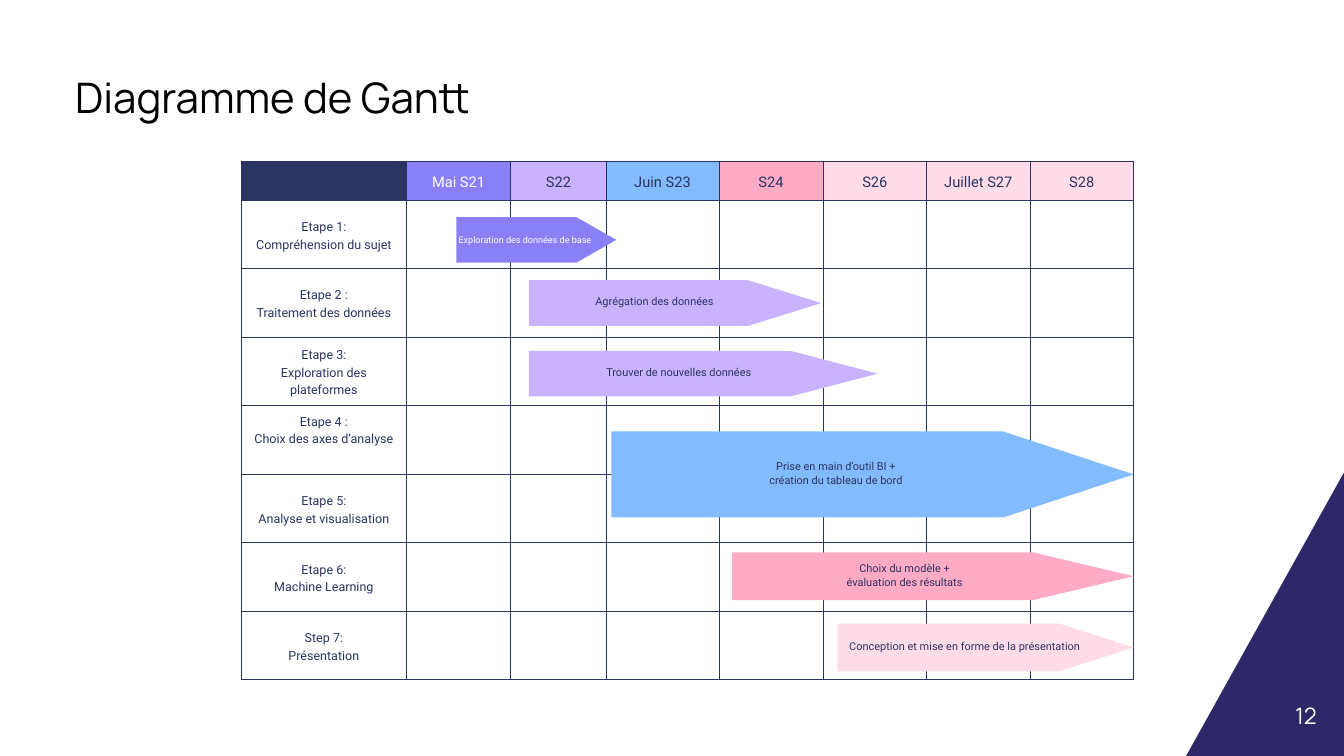
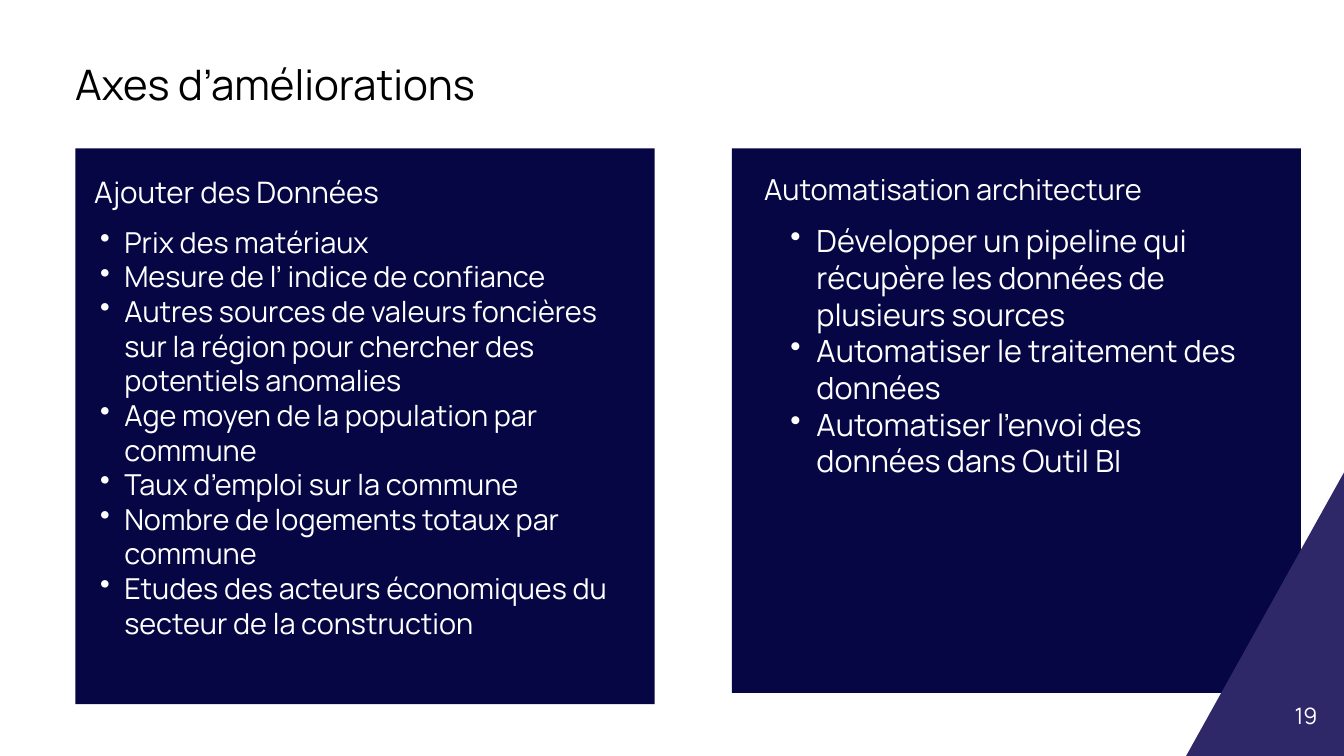
import pptx
import pptx.util
import pptx.dml.color
import pptx.enum.shapes
import pptx.enum.text
import pptx.oxml.ns
from lxml import etree

Inches, Pt = pptx.util.Inches, pptx.util.Pt
RGBColor = pptx.dml.color.RGBColor
ALIGN = pptx.enum.text.PP_ALIGN
ANCHOR = pptx.enum.text.MSO_ANCHOR
qn = pptx.oxml.ns.qn

BLACK = RGBColor(0x00, 0x00, 0x00)
WHITE = RGBColor(0xFF, 0xFF, 0xFF)
INK = RGBColor(0x2B, 0x33, 0x60)
CORNER = RGBColor(0x2E, 0x27, 0x68)
PANEL = RGBColor(0x06, 0x06, 0x44)
VIOLET = RGBColor(0x89, 0x80, 0xF6)
LILAC = RGBColor(0xC9, 0xB3, 0xFF)
BLUE = RGBColor(0x83, 0xBC, 0xFE)
ROSE = RGBColor(0xFF, 0xAB, 0xC6)
BLUSH = RGBColor(0xFF, 0xDC, 0xE7)

DISPLAY, BODY = "Manrope", "Roboto"
SLIDE_W, SLIDE_H = 20, 11.25
MARGIN = 1.12

# Gantt content: (label, column width, fill)
WEEKS = [
    ("Mai S21", 1.55, VIOLET), ("S22", 1.42, LILAC), ("Juin S23", 1.68, BLUE),
    ("S24", 1.55, ROSE), ("S26", 1.54, BLUSH), ("Juillet S27", 1.54, BLUSH),
    ("S28", 1.54, BLUSH),
]
STEPS = [
    ("Etape 1:", "Compréhension du sujet"),
    ("Etape 2 :", "Traitement des données"),
    ("Etape 3:", "Exploration des plateformes"),
    ("Etape 4 :", "Choix des axes d’analyse"),
    ("Etape 5:", "Analyse et visualisation"),
    ("Etape 6:", "Machine Learning"),
    ("Step 7:", "Présentation"),
]
TOP_ALIGNED_STEP = 4
STEP_COL_W, HEADER_H, STEP_H = 2.46, 0.58, 1.02

# Tasks: (left, top, width, height) from the table corner, fill, lines
TASKS = [
    ((3.2, 0.83, 2.38, 0.68), VIOLET, ["Exploration des données de base"]),
    ((4.28, 1.77, 4.35, 0.68), LILAC, ["Agrégation des données"]),
    ((4.28, 2.82, 5.19, 0.68), LILAC, ["Trouver de nouvelles données"]),
    ((5.51, 4.02, 7.77, 1.28), BLUE,
     ["Prise en main d’outil BI +", "création du tableau de bord"]),
    ((7.3, 5.82, 5.98, 0.71), ROSE, ["Choix du modèle +", "évaluation des résultats"]),
    ((8.87, 6.88, 4.41, 0.71), BLUSH,
     ["Conception et mise en forme de la présentation"]),
]

DATA_IDEAS = [
    "Prix des matériaux",
    "Mesure de l’ indice de confiance",
    "Autres sources de valeurs foncières sur la région pour chercher des "
    "potentiels anomalies",
    "Age moyen de la population par commune",
    "Taux d’emploi sur la commune",
    "Nombre de logements totaux par commune",
    "Etudes des acteurs économiques du secteur de la construction",
]
AUTOMATION_IDEAS = [
    "Développer un pipeline qui récupère les données de plusieurs sources",
    "Automatiser le traitement des données",
    "Automatiser l’envoi des données dans Outil BI",
]


def inches(box):
    return [Inches(length) for length in box]


def write(frame, lines, size, spacing, color, font=DISPLAY, align=ALIGN.LEFT, indent=None):
    """One paragraph per line; indent turns the lines into bullets."""
    for number, line in enumerate(lines):
        paragraph = frame.add_paragraph() if number else frame.paragraphs[0]
        if indent:
            props = paragraph._p.get_or_add_pPr()
            props.set("marL", str(Inches(2 * indent)))
            props.set("indent", str(-Inches(indent)))
            etree.SubElement(props, qn("a:buChar")).set("char", "•")
        paragraph.alignment = align
        paragraph.line_spacing = Pt(spacing)
        run = paragraph.add_run()
        run.text = line
        run.font.size = Pt(size)
        run.font.name = font
        run.font.color.rgb = color


def add_text(slide, box, lines, *style, **options):
    frame = slide.shapes.add_textbox(*inches(box)).text_frame
    frame.word_wrap = True
    frame.margin_left = frame.margin_right = frame.margin_top = frame.margin_bottom = 0
    write(frame, lines, *style, **options)


def paint(shape, color):
    shape.shadow.inherit = False
    shape.fill.solid()
    shape.fill.fore_color.rgb = color
    shape.line.fill.background()


def add_title(slide, text, top):
    add_text(slide, (MARGIN, top, 7.77, 0.75), [text], 45, 49.5, BLACK)


def add_corner(slide, number):
    """Slanted corner with the page number."""
    outline = slide.shapes.build_freeform(Inches(SLIDE_W), Inches(7.03))
    outline.add_line_segments([
        inches((SLIDE_W, SLIDE_H)), inches((17.65, SLIDE_H))], close=True)
    paint(outline.convert_to_shape(), CORNER)
    add_text(slide, (19.11, 10.45, 0.65, 0.43), [str(number)], 24.2, 29.1, WHITE,
             align=ALIGN.CENTER)


def style_cell(cell, fill):
    cell.fill.solid()
    cell.fill.fore_color.rgb = fill
    cell.vertical_anchor = ANCHOR.MIDDLE
    cell.margin_left = cell.margin_right = Inches(0.09)
    cell.margin_top = cell.margin_bottom = Inches(0.09)
    props = cell._tc.get_or_add_tcPr()
    for position, side in enumerate(("lnL", "lnR", "lnT", "lnB")):
        border = etree.Element(qn("a:" + side), w=str(Pt(1.25)))
        solid = etree.SubElement(border, qn("a:solidFill"))
        etree.SubElement(solid, qn("a:srgbClr")).set("val", str(INK))
        props.insert(position, border)


def add_schedule(slide, left, top):
    widths = [STEP_COL_W] + [width for _, width, _ in WEEKS]
    heights = [HEADER_H] + [STEP_H] * len(STEPS)
    table = slide.shapes.add_table(
        len(heights), len(widths),
        *inches((left, top, sum(widths), sum(heights)))).table
    table.first_row = table.horz_banding = False
    for column, width in zip(table.columns, widths):
        column.width = Inches(width)
    for row, height in zip(table.rows, heights):
        row.height = Inches(height)

    # Fills and borders
    header_fills = [INK] + [fill for _, _, fill in WEEKS]
    for row in range(len(heights)):
        for column, header_fill in enumerate(header_fills):
            style_cell(table.cell(row, column), WHITE if row else header_fill)

    # Week and step labels
    for column, (week, _, fill) in enumerate(WEEKS, 1):
        write(table.cell(0, column).text_frame, [week], 15.7, 21.9,
              WHITE if fill == VIOLET else INK, BODY, ALIGN.CENTER)
    for row, step in enumerate(STEPS, 1):
        write(table.cell(row, 0).text_frame, step, 13.4, 18.8, INK, BODY, ALIGN.CENTER)
    table.cell(TOP_ALIGNED_STEP, 0).vertical_anchor = ANCHOR.TOP


def add_task(slide, box, fill, lines):
    """Arrow whose tip takes a quarter of its width."""
    width, height = box[2:]
    arrow = slide.shapes.add_shape(
        pptx.enum.shapes.MSO_SHAPE.PENTAGON, *inches(box))
    arrow.adjustments[0] = 0.25 * width / height
    paint(arrow, fill)
    early = fill == VIOLET
    frame = arrow.text_frame
    frame.word_wrap = True
    frame.vertical_anchor = ANCHOR.MIDDLE
    frame.margin_left = frame.margin_top = Inches(0.03)
    frame.margin_right = Inches(0.03 + 0.015 * width)
    frame.margin_bottom = Inches(0.03 if early else 0.09)
    size, spacing, color = (9.7, 12.6, WHITE) if early else (11.7, 15.2, INK)
    write(frame, lines, size, spacing, color, BODY, ALIGN.CENTER)


def add_panel(slide, box, heading, heading_box, heading_style, ideas, ideas_box,
              ideas_style, indent):
    """Dark panel; the inner boxes are measured from its corner."""
    left, top = box[:2]
    panel = slide.shapes.add_shape(pptx.enum.shapes.MSO_SHAPE.RECTANGLE, *inches(box))
    paint(panel, PANEL)
    for lines, (x, y, w, h), style, step in (
            ([heading], heading_box, heading_style, None),
            (ideas, ideas_box, ideas_style, indent)):
        add_text(slide, (left + x, top + y, w, h), lines, *style, WHITE, indent=step)


def build_gantt(slide):
    left, top = 3.59, 2.4
    add_title(slide, "Diagramme de Gantt", 1.12)
    add_schedule(slide, left, top)
    for (x, y, w, h), fill, lines in TASKS:
        add_task(slide, (left + x, top + y, w, h), fill, lines)
    add_corner(slide, 12)


def build_improvements(slide):
    add_title(slide, "Axes d’améliorations", 0.94)
    add_panel(slide, (MARGIN, 2.21, 8.62, 8.27),
              "Ajouter des Données", (0.28, 0.38, 7.21, 0.55), (31.7, 38),
              DATA_IDEAS, (0.01, 1.13, 8.23, 6.17), (30.9, 37.1), 0.36)
    add_panel(slide, (10.89, 2.21, 8.47, 8.1),
              "Automatisation architecture", (0.48, 0.34, 7.51, 0.55), (31, 37.2),
              AUTOMATION_IDEAS, (0.48, 1.1, 7.51, 3.82), (32.8, 39.3), 0.39)
    add_corner(slide, 19)


def main():
    deck = pptx.Presentation()
    deck.slide_width, deck.slide_height = inches((SLIDE_W, SLIDE_H))
    for build in (build_gantt, build_improvements):
        build(deck.slides.add_slide(deck.slide_layouts[6]))
    deck.save("out.pptx")


if __name__ == "__main__":
    main()
